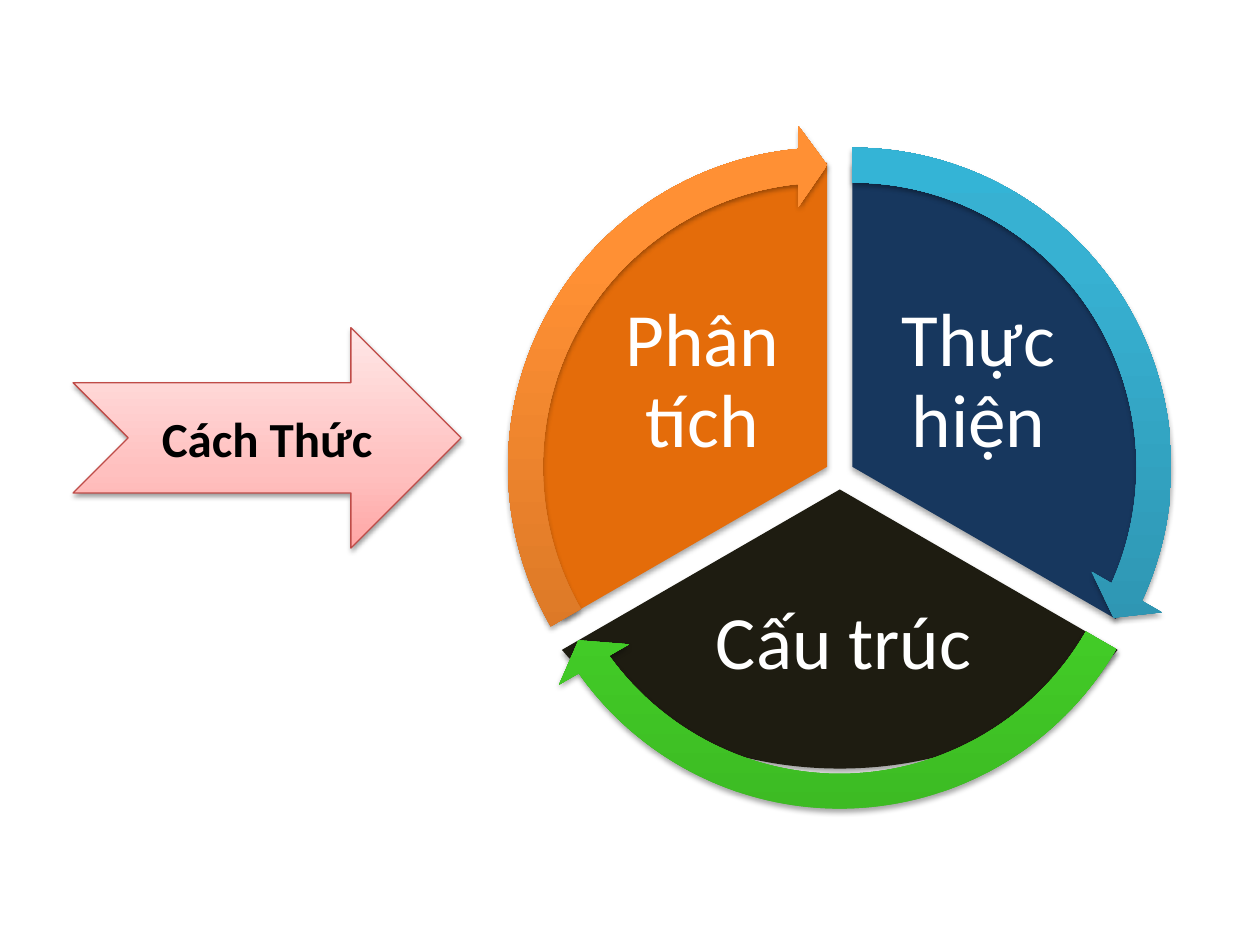
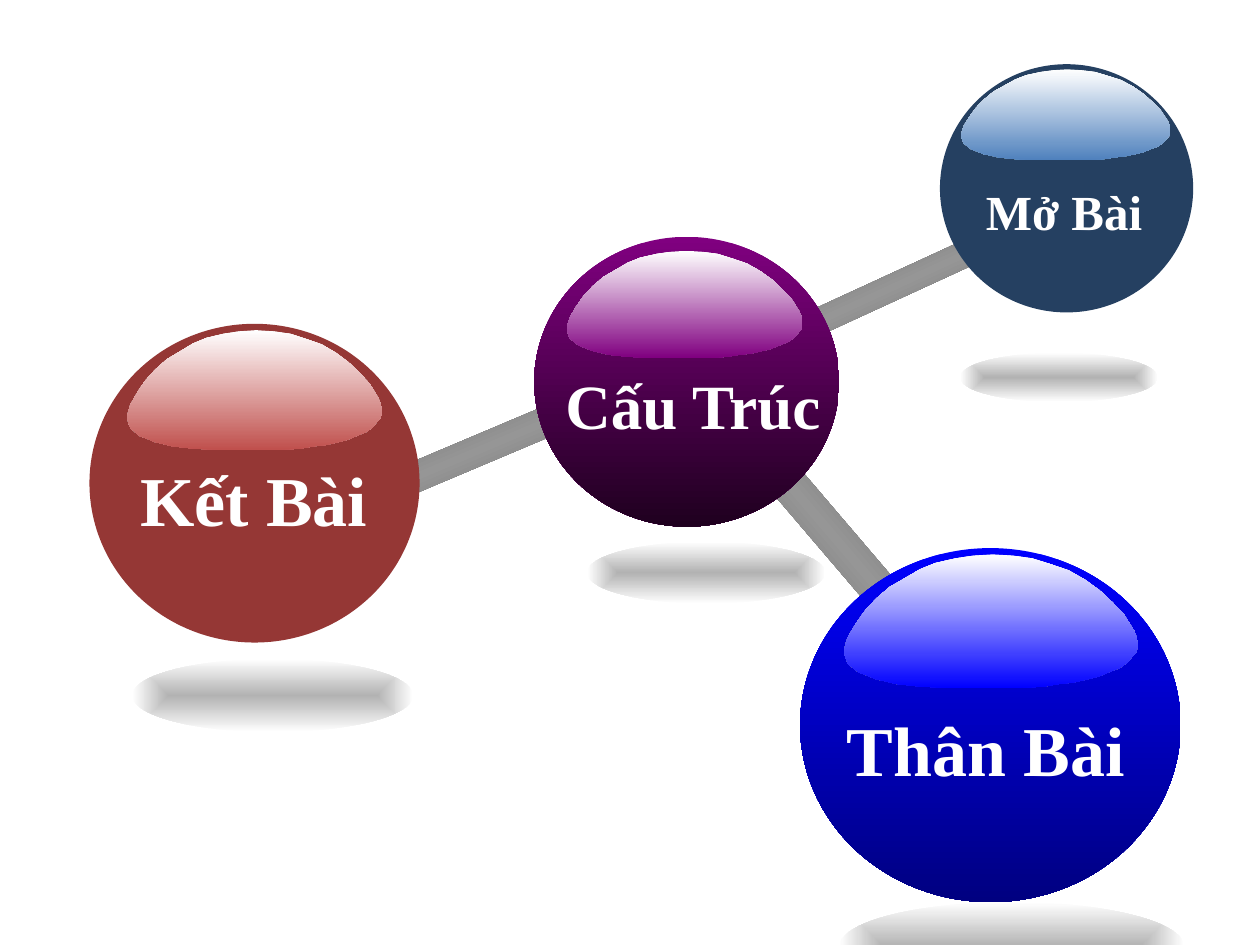
"""Build two diagram slides: the working cycle and the parts of an essay."""
import lxml.etree
import pptx
import pptx.dml.color
import pptx.enum.shapes
import pptx.enum.text
import pptx.oxml.ns
import pptx.util

SHAPE = pptx.enum.shapes.MSO_SHAPE
COLUMNS, ROWS = 10, 7.5
CELL = pptx.util.Inches(1)
FONTS = {"cycle": "Calibri", "essay": "Times New Roman"}
COLORS = {
    "white": "FFFFFF", "black": "000000",
    "navy": "17375E", "coal": "1E1C11", "orange": "E46C0A",
    "rose line": "BF4C48", "floor shadow": "B2B2B2",
    "steel": "254061", "sky": "4F81BD", "brick": "953735", "coral": "C0504D",
    "purple": "800080", "deep purple": "1F001F", "blue": "0000FF", "deep blue": "000080",
}
ROSE = [(0, "FFA6A5"), (35, "FFC0BF"), (100, "FFE7E7")]
TEAL_ARROW = [(0, "2A88A2"), (80, "37B1D2"), (100, "34B4D6")]
GREEN_ARROW = [(0, "3CB923"), (80, "4EF02E"), (100, "4CF52A")]
ORANGE_ARROW = [(0, "CC6E20"), (80, "FF9034"), (100, "FF9136")]
ROD = [(0, "6B6B6B"), (50, "969696"), (100, "6B6B6B")]
GLOSS_OUTLINE = [
    (98.7, 57), (99.6, 62), (100, 68), (99.6, 73), (98, 77), (96.5, 81), (94, 85),
    (90.5, 88), (86.7, 91.5), (83, 93.5), (78, 96), (73.4, 97), (68, 99), (60, 100),
    (36, 100), (26, 99), (17.6, 97), (14, 95), (10.7, 93.4), (7.7, 90.6), (5, 88.5),
    (3, 85), (1.3, 82), (0.4, 77), (0, 73), (0.4, 68), (1.3, 62), (4, 52), (7, 42.5),
    (11, 33), (15.5, 24.5), (20.6, 18), (25.8, 11.3), (31, 6.6), (38, 3), (44, 1),
    (50.6, 0), (57.5, 1), (64, 3), (70.4, 7.5), (76.4, 12), (82, 19), (87, 27),
    (91.4, 36), (95.3, 45),
]


def cells(*lengths):
    """Turn grid columns and rows into slide lengths."""
    return [round(length * CELL) for length in lengths]


def rgb(name):
    """Return the named colour."""
    return pptx.dml.color.RGBColor.from_string(COLORS[name])


def add_child(parent, tag, **attributes):
    """Append a drawing element with the given attributes."""
    child = lxml.etree.SubElement(parent, pptx.oxml.ns.qn(f"a:{tag}"))
    for key, value in attributes.items():
        child.set(key, str(value))
    return child


def fill_gradient(shape, stops, angle=None):
    """Fill with a linear gradient, or from the centre when no angle is given."""
    shape.fill.background()
    properties = shape._element.spPr
    empty_fill = properties.find(pptx.oxml.ns.qn("a:noFill"))
    gradient = add_child(properties, "gradFill", rotWithShape=1)
    properties.replace(empty_fill, gradient)
    stop_list = add_child(gradient, "gsLst")
    for position, color in stops:
        stop = add_child(stop_list, "gs", pos=position * 1000)
        add_child(stop, "srgbClr", val=color)
    if angle is None:
        center = add_child(gradient, "path", path="shape")
        add_child(center, "fillToRect", l=50000, t=50000, r=50000, b=50000)
    else:
        add_child(gradient, "lin", ang=angle * 60000, scaled=0)


def paint(shape, paint_with, angle=None):
    """Give a shape a plain or gradient fill without line or shadow."""
    shape.shadow.inherit = False
    shape.line.fill.background()
    if isinstance(paint_with, str):
        shape.fill.solid()
        shape.fill.fore_color.rgb = rgb(paint_with)
    else:
        fill_gradient(shape, paint_with, angle)


def cast_shadow(shape, opacity=35, distance=1.8):
    """Add a soft shadow below a shape."""
    effects = shape._element.spPr.find(pptx.oxml.ns.qn("a:effectLst"))
    shadow = add_child(effects, "outerShdw", blurRad=pptx.util.Pt(3.1),
                       dist=pptx.util.Pt(distance), dir=90 * 60000, rotWithShape=0)
    color = add_child(shadow, "srgbClr", val=COLORS["black"])
    add_child(color, "alpha", val=opacity * 1000)


def add_painted(slide, kind, box, paint_with, angle=None, adjustments=()):
    """Add a painted preset shape."""
    shape = slide.shapes.add_shape(kind, *cells(*box))
    for index, value in enumerate(adjustments):
        shape.adjustments[index] = value
    paint(shape, paint_with, angle)
    return shape


def write(shape, text, size, font, color="white", bold=False):
    """Write one centred line of text in the middle of a shape."""
    frame = shape.text_frame
    frame.text = text
    frame.vertical_anchor = pptx.enum.text.MSO_ANCHOR.MIDDLE
    paragraph = frame.paragraphs[0]
    paragraph.alignment = pptx.enum.text.PP_ALIGN.CENTER
    run_font = paragraph.runs[0].font
    run_font.size, run_font.name, run_font.bold = pptx.util.Pt(size), FONTS[font], bold
    run_font.color.rgb = rgb(color)


def add_sector(slide, box, color, start, end, text, text_box):
    """Add a pie sector with its label."""
    sector = add_painted(slide, SHAPE.PIE, box, color, adjustments=(start, end))
    cast_shadow(sector)
    label = slide.shapes.add_textbox(*cells(*text_box))
    write(label, text, 43, "cycle")
    frame = label.text_frame
    frame.word_wrap = True
    frame.margin_left = frame.margin_right = frame.margin_top = frame.margin_bottom = cells(0.06)[0]
    frame.paragraphs[0].line_spacing = 0.9


def add_cycle_arrow(slide, left, top, stops, end, start):
    """Add a curved arrow around one sector."""
    arrow = add_painted(slide, SHAPE.CIRCULAR_ARROW, (left, top, 5.43, 5.43), stops, 270,
                        (0.051, 3.275, end, start, 0.059))
    cast_shadow(arrow)


def add_ball(slide, box, paint_with, gloss_box, gloss_color, text, size, text_box):
    """Add a glossy ball with its label."""
    add_painted(slide, SHAPE.OVAL, box, paint_with, 90)
    left, top, width, height = cells(*gloss_box)
    points = [(left + width * x / 100, top + height * y / 100) for x, y in GLOSS_OUTLINE]
    builder = slide.shapes.build_freeform(*points[0])
    builder.add_line_segments(points[1:], close=True)
    paint(builder.convert_to_shape(), [(0, COLORS["white"]), (100, COLORS[gloss_color])], 90)
    label = slide.shapes.add_textbox(*cells(*text_box))
    write(label, text, size, "essay", bold=True)
    label.text_frame.word_wrap = False
    label.text_frame.auto_size = pptx.enum.text.MSO_AUTO_SIZE.SHAPE_TO_FIT_TEXT


def build_cycle(slide):
    """Draw the three-part cycle and the arrow leading to it."""
    add_sector(slide, (4.35, 1.29, 4.83, 4.83), "navy", 162, 18,
               "Thực hiện", (6.9, 2.32, 1.73, 1.44))
    add_sector(slide, (3.97, 1.67, 5.39, 4.43), "coal", 18, 90,
               "Cấu trúc", (5.25, 4.54, 2.89, 1.16))
    add_sector(slide, (4.15, 1.29, 4.83, 4.83), "orange", 90, 162,
               "Phân tích", (4.71, 2.32, 1.73, 1.44))
    add_cycle_arrow(slide, 4.05, 0.99, TEAL_ARROW, 14.725, 161.994)
    add_cycle_arrow(slide, 3.95, 1.17, GREEN_ARROW, 86.72, 18.005)
    add_cycle_arrow(slide, 3.85, 0.99, ORANGE_ARROW, 158.73, 90)
    method = add_painted(slide, SHAPE.NOTCHED_RIGHT_ARROW, (0.58, 2.6, 3.08, 1.75), ROSE, 270)
    method.line.color.rgb = rgb("rose line")
    method.line.width = pptx.util.Pt(0.75)
    cast_shadow(method, 38, 1.6)
    write(method, "Cách Thức", 28, "cycle", "black", True)


def build_essay(slide):
    """Draw the essay structure as balls joined by rods."""
    floor = [(0, COLORS["floor shadow"]), (100, COLORS["white"])]
    for box in ((7.62, 2.8, 1.57, 0.39), (4.66, 4.3, 1.89, 0.49),
                (6.66, 7.16, 2.74, 0.71), (1.05, 5.23, 2.23, 0.58)):
        add_painted(slide, SHAPE.OVAL, box, floor)
    for box, rotation in (((5.96, 4.14, 1.36, 0.29), 229.5),
                          ((2.98, 3.48, 1.52, 0.24), 337.1),
                          ((6.43, 2.16, 1.38, 0.21), 335.3)):
        add_painted(slide, SHAPE.RECTANGLE, box, ROD, 90).rotation = rotation
    purple = [(0, COLORS["purple"]), (100, COLORS["deep purple"])]
    blue = [(0, COLORS["blue"]), (100, COLORS["deep blue"])]
    add_ball(slide, (4.24, 1.88, 2.42, 2.3), purple, (4.5, 1.99, 1.87, 0.85), "purple",
             "Cấu Trúc", 36, (4.38, 2.85, 2.24, 0.71))
    add_ball(slide, (7.46, 0.51, 2.01, 1.97), "steel", (7.63, 0.55, 1.66, 0.72), "sky",
             "Mở Bài", 28, (7.72, 1.39, 1.45, 0.57))
    add_ball(slide, (0.71, 2.57, 2.62, 2.53), "brick", (1.01, 2.62, 2.02, 0.95), "coral",
             "Kết Bài", 40, (1, 3.57, 2.03, 0.78))
    add_ball(slide, (6.35, 4.35, 3.02, 2.81), blue, (6.7, 4.4, 2.33, 1.06), "blue",
             "Thân Bài", 40, (6.61, 5.55, 2.43, 0.78))


def main():
    """Build and save the presentation."""
    presentation = pptx.Presentation()
    presentation.slide_width, presentation.slide_height = cells(COLUMNS, ROWS)
    blank_layout = presentation.slide_layouts.get_by_name("Blank")
    for build in (build_cycle, build_essay):
        build(presentation.slides.add_slide(blank_layout))
    presentation.save("out.pptx")


if __name__ == "__main__":
    main()
